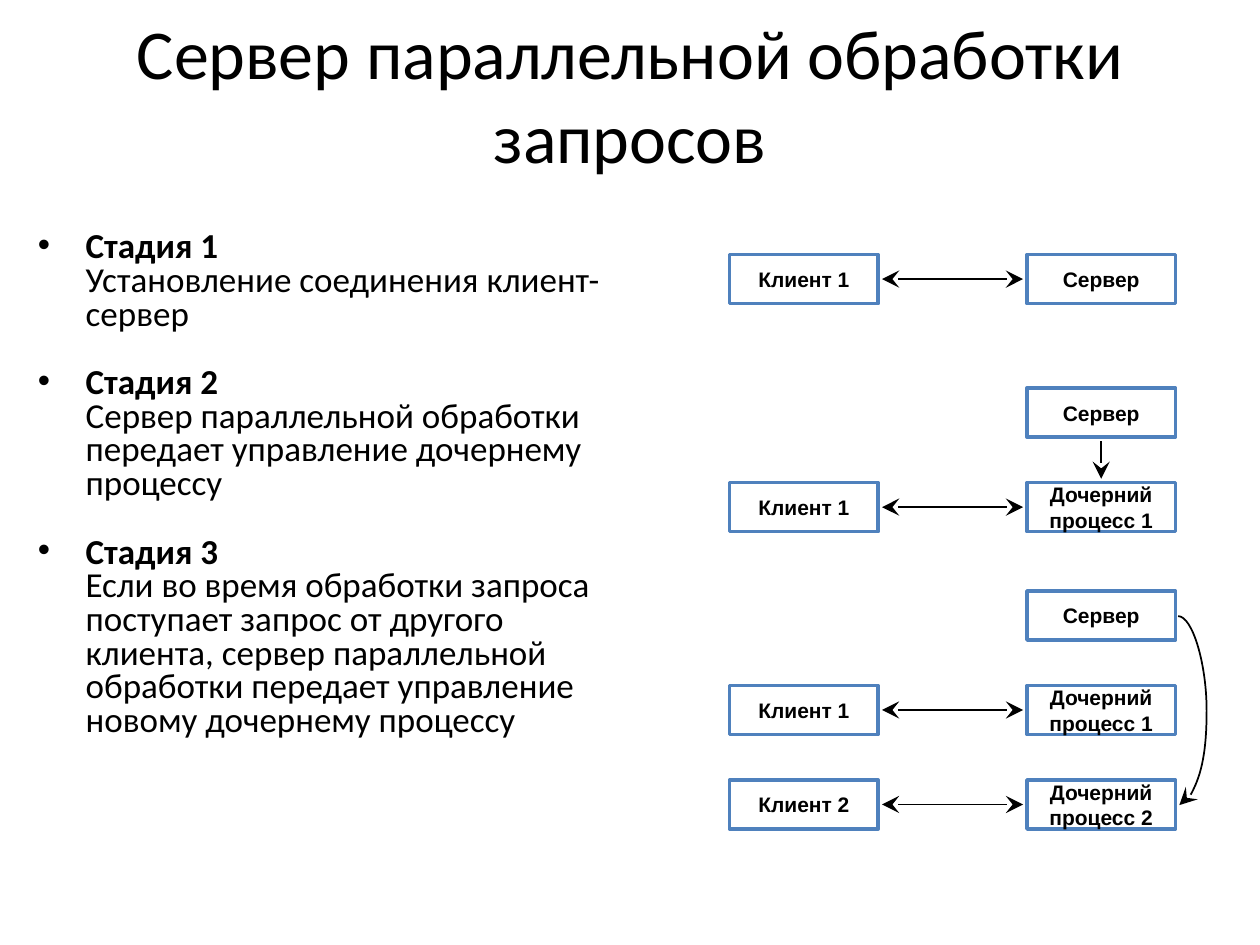
"""Build a slide on the parallel request server and its three stages."""
from lxml.etree import SubElement
from pptx import Presentation
from pptx.dml.color import RGBColor
from pptx.enum.shapes import MSO_CONNECTOR as Connector, MSO_SHAPE as Shape
from pptx.enum.text import MSO_ANCHOR as Anchor, MSO_AUTO_SIZE as AutoSize, PP_ALIGN as Align
from pptx.oxml.ns import qn
from pptx.util import Inches, Pt

BLACK, BLUE = "000000", "4F81BD"
BOX_WIDTH, BOX_HEIGHT = 1.18, 0.39
CLIENT_LEFT, SERVER_LEFT = 5.79, 8.15
GAP = 0.03


def write(paragraph, text, size=12, font="Arial", bold=False):
    run = paragraph.add_run()
    run.text = text
    run.font.size = Pt(size)
    run.font.name = font
    run.font.bold = bold
    run.font.color.rgb = RGBColor.from_string(BLACK)


def add_arrow(shapes, start, end, ends=("tailEnd",), kind=Connector.STRAIGHT):
    points = [Inches(value) for value in (*start, *end)]
    arrow = shapes.add_connector(kind, *points)
    arrow.line.width = Pt(1)
    arrow.line.color.rgb = RGBColor.from_string(BLACK)
    for end_name in ends:
        SubElement(arrow.line._get_or_add_ln(), qn(f"a:{end_name}"), type="stealth", w="lg", len="lg")
    SubElement(arrow._element.spPr, qn("a:effectLst"))
    return arrow


presentation = Presentation()
presentation.slide_width, presentation.slide_height = Inches(10), Inches(7.5)
slide = presentation.slides.add_slide(presentation.slide_layouts[1])
title, body = slide.placeholders

for placeholder, place in ((title, (0.2, 0, 9.6, 1.49)), (body, (0.2, 1.79, 4.72, 4.9))):
    placeholder.left, placeholder.top, placeholder.width, placeholder.height = map(Inches, place)
    placeholder.text_frame.auto_size = AutoSize.NONE

title.text_frame.vertical_anchor = Anchor.MIDDLE
title.text_frame.paragraphs[0].alignment = Align.CENTER
write(title.text_frame.paragraphs[0], "Сервер параллельной обработки запросов", size=40, font="Calibri")

stages = [
    ("Стадия 1", "Установление соединения клиент-сервер"),
    ("Стадия 2", "Сервер параллельной обработки передает управление дочернему процессу"),
    ("Стадия 3", "Если во время обработки запроса поступает запрос от другого клиента, "
                 "сервер параллельной обработки передает управление новому дочернему процессу"),
]
for index, (heading, description) in enumerate(stages):
    paragraph = body.text_frame.add_paragraph() if index else body.text_frame.paragraphs[0]
    paragraph.line_spacing = 0.8
    paragraph.space_before = Pt(20 if index else 4)
    properties = paragraph._p.get_or_add_pPr()
    properties.set("marL", str(Inches(0.38)))
    properties.set("indent", str(-Inches(0.38)))
    write(paragraph, heading, size=20, font="Calibri", bold=True)
    paragraph.add_line_break()
    write(paragraph, description, size=20, font="Calibri")

diagrams = [
    [(2.02, "Клиент 1", "Сервер")],
    [(3.08, None, "Сервер"), (3.83, "Клиент 1", "Дочерний\nпроцесс 1")],
    [(4.69, None, "Сервер"), (5.44, "Клиент 1", "Дочерний\nпроцесс 1"),
     (6.19, "Клиент 2", "Дочерний\nпроцесс 2")],
]
groups = []
for number, rows in enumerate(diagrams, start=1):
    group = slide.shapes.add_group_shape()
    group.name = f"Стадия {number}"
    groups.append(group)
    for top, client, server in rows:
        for left, label in ((CLIENT_LEFT, client), (SERVER_LEFT, server)):
            if not label:
                continue
            box = group.shapes.add_shape(
                Shape.RECTANGLE, Inches(left), Inches(top), Inches(BOX_WIDTH), Inches(BOX_HEIGHT))
            box.shadow.inherit = False
            box.fill.background()
            box.line.color.rgb = RGBColor.from_string(BLUE)
            box.line.width = Pt(2)
            frame = box.text_frame
            frame.word_wrap = False
            frame.vertical_anchor = Anchor.MIDDLE
            for index, line in enumerate(label.split("\n")):
                paragraph = frame.add_paragraph() if index else frame.paragraphs[0]
                paragraph.alignment = Align.CENTER
                write(paragraph, line, bold=True)
        if client:
            middle = top + BOX_HEIGHT / 2
            add_arrow(group.shapes, (CLIENT_LEFT + BOX_WIDTH + GAP, middle),
                      (SERVER_LEFT - GAP, middle), ends=("headEnd", "tailEnd"))

server_center = SERVER_LEFT + BOX_WIDTH / 2
add_arrow(groups[1].shapes, (server_center, 3.5), (server_center, 3.8))

curve = add_arrow(groups[2].shapes, (9.35, 4.89), (9.36, 6.39), kind=Connector.CURVE)
guides = curve._element.spPr.find(qn("a:prstGeom")).get_or_add_avLst()
SubElement(guides, qn("a:gd"), name="adj1", fmla="val 2300000")

presentation.save("out.pptx")
